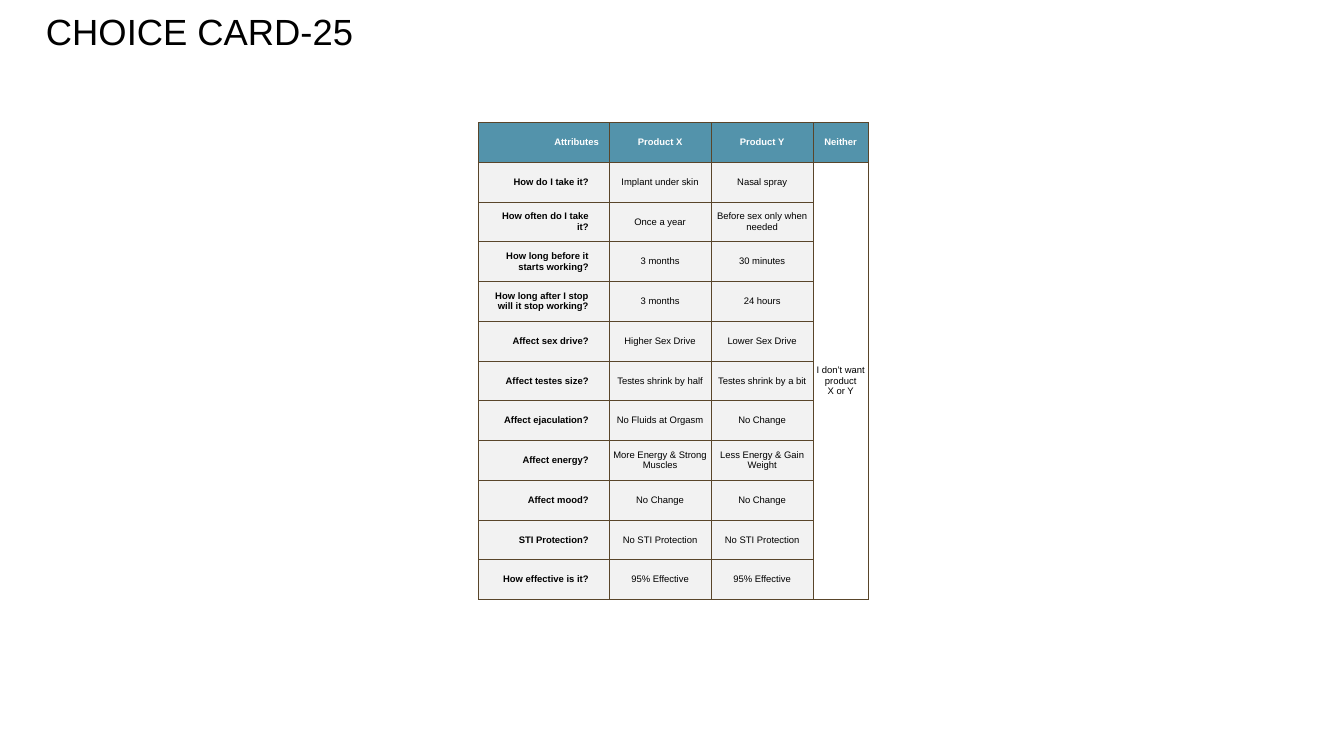
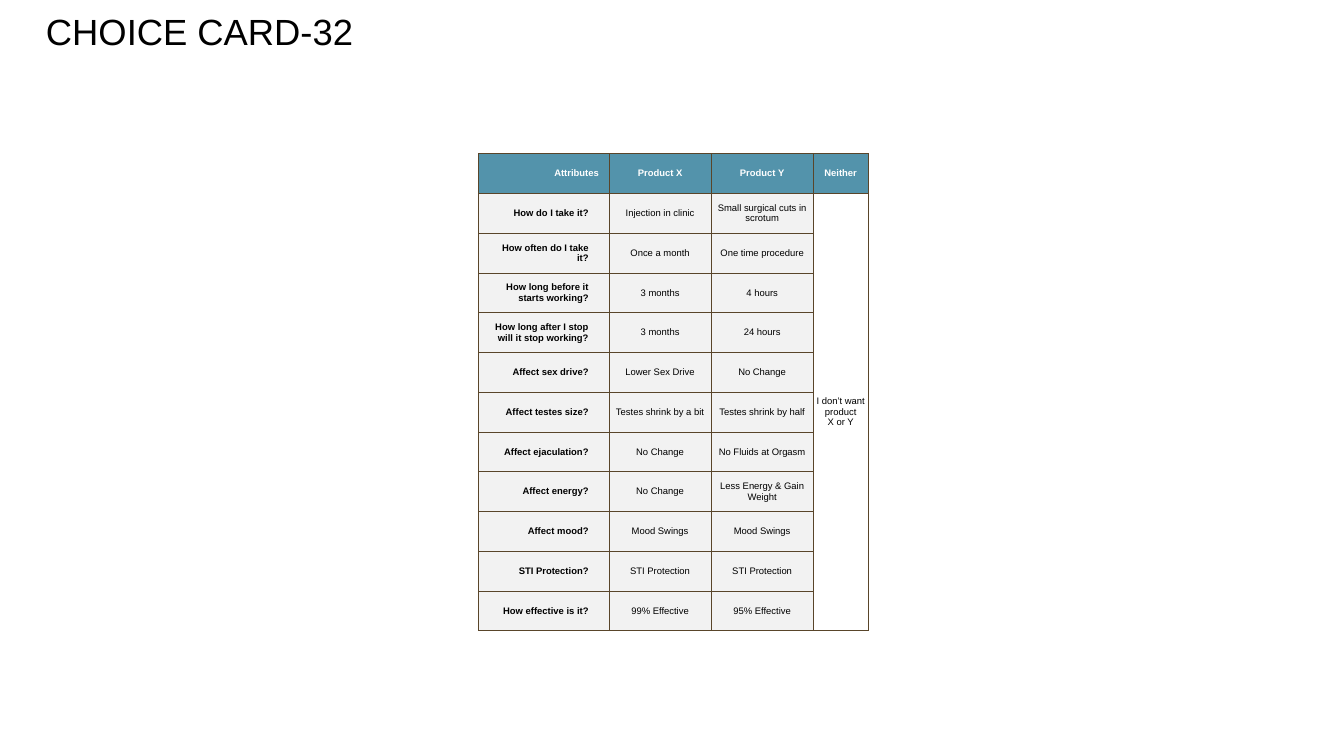
from dataclasses import dataclass

from lxml.etree import SubElement
from pptx import Presentation
from pptx.dml.color import RGBColor
from pptx.enum.text import MSO_ANCHOR, MSO_AUTO_SIZE, PP_ALIGN
from pptx.oxml.ns import qn
from pptx.util import Inches, Pt


@dataclass(frozen=True)
class Theme:
    font: str = "Arial"
    ink: str = "000000"
    paper: str = "FFFFFF"
    band: str = "5393AB"
    pale: str = "F2F2F2"
    edge: str = "59452A"
    title: float = 46.2
    lead: float = 30.7
    body: float = 12
    rule: float = 1


HEAD = ["Attributes", "Product X", "Product Y", "Neither"]
LABELS = [
    "How do I take it?",
    "How often do I take it?",
    "How long before it starts working?",
    "How long after I stop will it stop working?",
    "Affect sex drive?",
    "Affect testes size?",
    "Affect ejaculation?",
    "Affect energy?",
    "Affect mood?",
    "STI Protection?",
    "How effective is it?",
]
NEITHER = "I don’t want product\nX or Y"
WIDTHS = [2.3, 1.8, 1.8, 0.97]
HEIGHT = 8.41
SIDES = ["left", "top", "right", "bottom"]
HEAD_PAD = [0.18, 0.09, 0.18, 0.09]
LABEL_PAD = [0.18, 0.09, 0.36, 0.09]
CELL_PAD = [0.04, 0.02, 0.04, 0.02]

CARDS = [
    ("CHOICE CARD-25", 2.16, [
        ("Implant under skin", "Nasal spray"),
        ("Once a year", "Before sex only when needed"),
        ("3 months", "30 minutes"),
        ("3 months", "24 hours"),
        ("Higher Sex Drive", "Lower Sex Drive"),
        ("Testes shrink by half", "Testes shrink by a bit"),
        ("No Fluids at Orgasm", "No Change"),
        ("More Energy & Strong Muscles", "Less Energy & Gain Weight"),
        ("No Change", "No Change"),
        ("No STI Protection", "No STI Protection"),
        ("95% Effective", "95% Effective"),
    ]),
    ("CHOICE CARD-32", 2.71, [
        ("Injection in clinic", "Small surgical cuts in scrotum"),
        ("Once a month", "One time procedure"),
        ("3 months", "4 hours"),
        ("3 months", "24 hours"),
        ("Lower Sex Drive", "No Change"),
        ("Testes shrink by a bit", "Testes shrink by half"),
        ("No Change", "No Fluids at Orgasm"),
        ("No Change", "Less Energy & Gain Weight"),
        ("Mood Swings", "Mood Swings"),
        ("STI Protection", "STI Protection"),
        ("99% Effective", "95% Effective"),
    ]),
]


def apply(item, values):
    for name, value in values.items():
        setattr(item, name, value)


class Deck:
    def __init__(self, theme):
        self.theme = theme
        self.show = Presentation()
        apply(self.show, {"slide_width": Inches(23.7), "slide_height": Inches(13.33)})
        self.slide = None

    def page(self):
        self.slide = self.show.slides.add_slide(self.show.slide_layouts[5])
        fill = self.slide.background.fill
        fill.solid()
        fill.fore_color.rgb = RGBColor.from_string(self.theme.paper)

    def style(self, part, size, color, bold=False):
        apply(part.font, {"name": self.theme.font, "size": Pt(size), "bold": bold})
        part.font.color.rgb = RGBColor.from_string(color)

    def title(self, text):
        box = self.slide.shapes.title
        apply(box, {"left": Inches(0.73), "top": Inches(0.42),
                    "width": Inches(18.05), "height": Inches(0.74)})
        frame = box.text_frame
        frame.text = text
        apply(frame, {"word_wrap": True, "auto_size": MSO_AUTO_SIZE.NONE,
                      "vertical_anchor": MSO_ANCHOR.TOP})
        apply(frame, {f"margin_{side}": Inches(0.08) for side in SIDES})
        para = frame.paragraphs[0]
        apply(para, {"alignment": PP_ALIGN.LEFT, "line_spacing": Pt(self.theme.lead)})
        self.style(para.runs[0], self.theme.title, self.theme.ink)

    def border(self, cell):
        props = cell._tc.get_or_add_tcPr()
        for tag in ("a:lnL", "a:lnR", "a:lnT", "a:lnB"):
            line = SubElement(props, qn(tag), w=str(Pt(self.theme.rule)))
            fill = SubElement(line, qn("a:solidFill"))
            SubElement(fill, qn("a:srgbClr"), val=self.theme.edge)

    def cell(self, cell, text, row, col):
        theme = self.theme
        head, label = row == 0, col == 0
        pad = HEAD_PAD if head else LABEL_PAD if label else CELL_PAD
        back = theme.band if head else theme.paper if col == 3 else theme.pale
        cell.text = text
        cell.vertical_anchor = MSO_ANCHOR.MIDDLE
        apply(cell, {f"margin_{side}": Inches(gap) for side, gap in zip(SIDES, pad)})
        self.border(cell)
        cell.fill.solid()
        cell.fill.fore_color.rgb = RGBColor.from_string(back)
        for para in cell.text_frame.paragraphs:
            para.alignment = PP_ALIGN.RIGHT if label else PP_ALIGN.CENTER
            color = theme.paper if head else theme.ink
            for part in (para, *para.runs):
                self.style(part, theme.body, color, head or label)

    def table(self, top, rows):
        count = len(rows)
        grid = self.slide.shapes.add_table(
            count, len(WIDTHS), Inches(8.44), Inches(top),
            Inches(sum(WIDTHS)), Inches(HEIGHT)).table
        apply(grid, {"first_row": False, "horz_banding": False})
        for col, width in zip(grid.columns, WIDTHS):
            col.width = Inches(width)
        for line in grid.rows:
            line.height = Inches(HEIGHT / count)
        grid.cell(1, 3).merge(grid.cell(count - 1, 3))
        for row, texts in enumerate(rows):
            for col, text in enumerate(texts):
                self.cell(grid.cell(row, col), text, row, col)


def main():
    deck = Deck(Theme())
    for name, top, pairs in CARDS:
        deck.page()
        deck.title(name)
        rows = [[label, *pair, ""] for label, pair in zip(LABELS, pairs)]
        rows[0][3] = NEITHER
        deck.table(top, [HEAD, *rows])
    deck.show.save("out.pptx")


if __name__ == "__main__":
    main()
